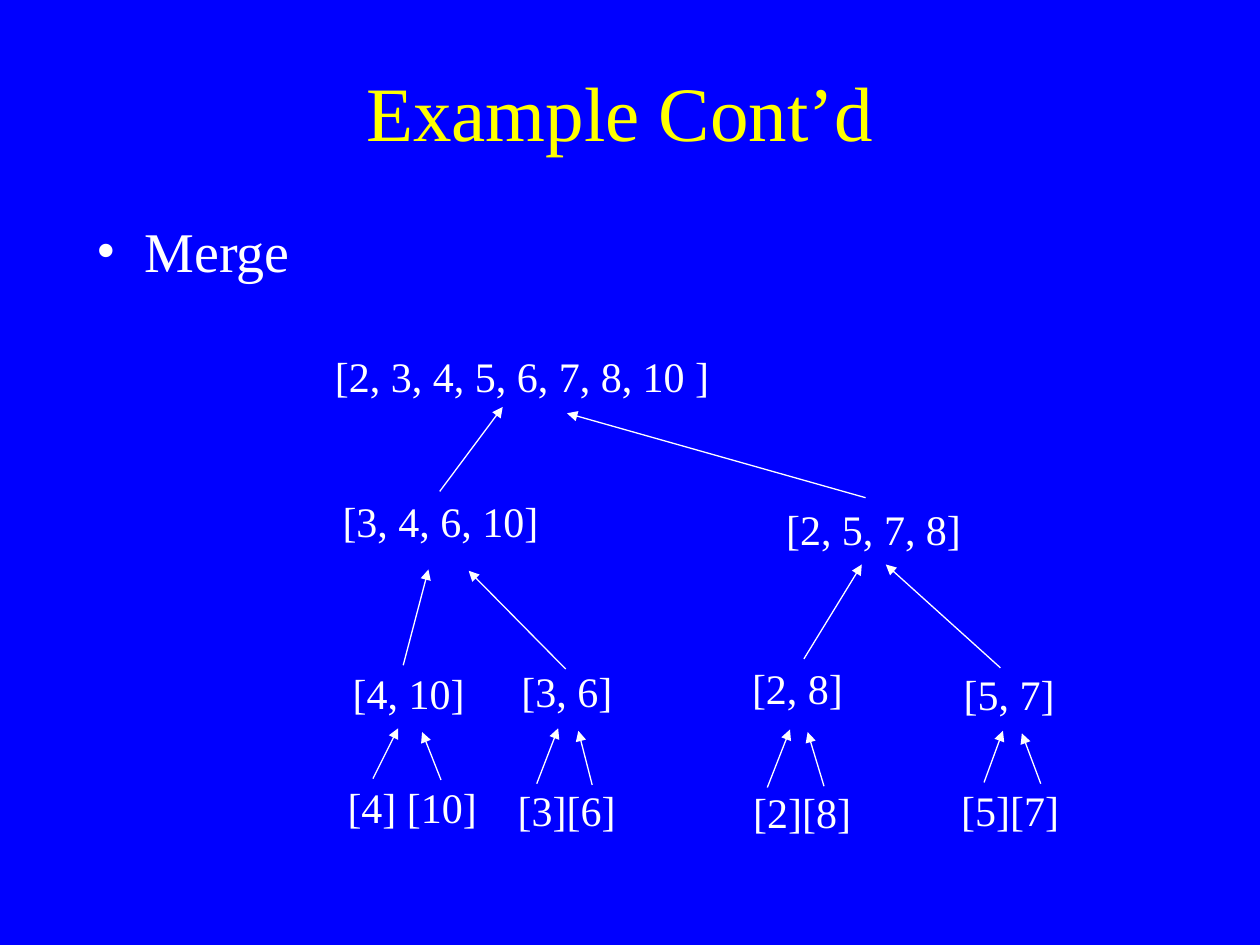
"""Build the merge step of a merge sort as a tree of lists joined by arrows."""
from lxml.etree import SubElement
from pptx import Presentation
from pptx.dml.color import RGBColor as Color
from pptx.enum.shapes import MSO_CONNECTOR as Connector
from pptx.enum.text import MSO_ANCHOR as Anchor, MSO_AUTO_SIZE as AutoSize, PP_ALIGN as Align
from pptx.oxml.ns import qn
from pptx.util import Inches, Pt

THEME = {
    "background": Color(0x00, 0x00, 0xFF),
    "title": {"name": "Times New Roman", "size": Pt(44), "bold": False},
    "bullet": {"name": "Times New Roman", "size": Pt(32)},
    "node": {"name": "Times New Roman", "size": Pt(24)},
    "title_color": Color(0xFF, 0xFF, 0x00),
    "text_color": Color(0xFF, 0xFF, 0xFF),
    "line_width": Pt(0.75),
}

presentation = Presentation()
presentation.slide_width, presentation.slide_height = Inches(10), Inches(7.5)
COLUMN = presentation.slide_width / 10
ROW = presentation.slide_height / 7.5
NODE_HEIGHT = 0.5
NODE_SLACK = 0.03


def grid(*places):
    """Turn alternating columns and rows into slide lengths."""
    return [round(place * (ROW if index % 2 else COLUMN)) for index, place in enumerate(places)]


def write(shape, text, style, color, frame_format):
    """Put one formatted paragraph in a shape and return it."""
    frame = shape.text_frame
    for name, value in frame_format.items():
        setattr(frame, name, value)
    paragraph = frame.paragraphs[0]
    run = paragraph.add_run()
    run.text = text
    for name, value in THEME[style].items():
        setattr(run.font, name, value)
    run.font.color.rgb = THEME[color]
    return paragraph


slide = presentation.slides.add_slide(presentation.slide_layouts[5])
slide.background.fill.solid()
slide.background.fill.fore_color.rgb = THEME["background"]

title = slide.shapes.title
title.left, title.top, title.width, title.height = grid(0.67, 0.25, 8.5, 1.25)
paragraph = write(title, "Example Cont’d", "title", "title_color",
                  {"vertical_anchor": Anchor.MIDDLE, "word_wrap": True})
paragraph.alignment = Align.CENTER

step = slide.shapes.add_textbox(*grid(0.67, 1.67, 8.5, 0.83))
paragraph = write(step, "Merge", "bullet", "text_color", {"word_wrap": True})
paragraph.space_before = Pt(8)
properties = paragraph._p.get_or_add_pPr()
properties.set("marL", str(Inches(0.38)))
properties.set("indent", str(-Inches(0.38)))
SubElement(properties, qn("a:buFont")).set("typeface", THEME["bullet"]["name"])
SubElement(properties, qn("a:buChar")).set("char", "•")

nodes = [
    ("[2, 3, 4, 5, 6, 7, 8, 10 ]", 2.56, 2.73, 3.17),
    ("[3, 4, 6, 10]", 2.62, 3.88, 1.75),
    ("[2, 5, 7, 8]", 6.14, 3.95, 1.59),
    ("[4, 10]", 2.7, 5.25, 1.09),
    ("[3, 6]", 4.04, 5.23, 0.92),
    ("[2, 8]", 5.87, 5.21, 0.92),
    ("[5, 7]", 7.55, 5.26, 0.92),
    ("[4] [10]", 2.66, 6.15, 1.22),
    ("[3][6]", 4.01, 6.18, 0.97),
    ("[2][8]", 5.88, 6.19, 0.97),
    ("[5][7]", 7.53, 6.18, 0.97),
]
for text, left, top, width in nodes:
    node = slide.shapes.add_textbox(*grid(left, top, width + NODE_SLACK, NODE_HEIGHT))
    write(node, text, "node", "text_color",
          {"word_wrap": False, "auto_size": AutoSize.SHAPE_TO_FIT_TEXT})

arrows = [
    (3.49, 3.9, 3.99, 3.23), (6.87, 3.95, 4.5, 3.28),
    (3.2, 5.28, 3.4, 4.52), (4.49, 5.31, 3.72, 4.53),
    (6.38, 5.23, 6.84, 4.48), (7.94, 5.3, 7.03, 4.48),
    (2.96, 6.18, 3.16, 5.78), (3.5, 6.19, 3.35, 5.81),
    (4.26, 6.22, 4.43, 5.78), (4.7, 6.23, 4.59, 5.8),
    (6.09, 6.25, 6.27, 5.79), (6.54, 6.24, 6.41, 5.81),
    (7.81, 6.21, 7.96, 5.8), (8.26, 6.22, 8.11, 5.82),
]
for ends in arrows:
    arrow = slide.shapes.add_connector(Connector.STRAIGHT, *grid(*ends))
    arrow.line.color.rgb = THEME["text_color"]
    arrow.line.width = THEME["line_width"]
    SubElement(arrow.line._get_or_add_ln(), qn("a:tailEnd")).set("type", "triangle")
    SubElement(arrow._element.spPr, qn("a:effectLst"))

presentation.save("out.pptx")
